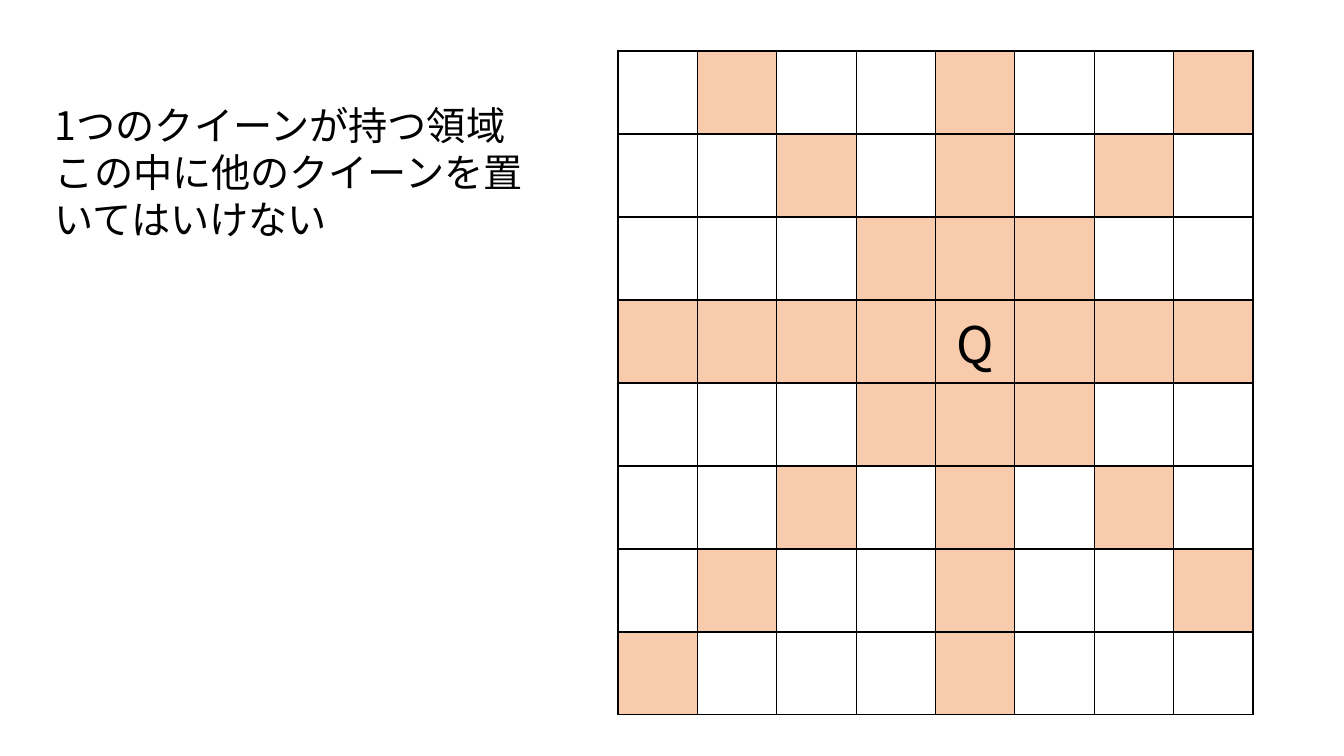
from dataclasses import dataclass

import pptx
import pptx.dml.color
import pptx.enum.text
import pptx.oxml.ns
import pptx.slide
import pptx.table
import pptx.util
from lxml import etree

EMU_PER_PX = 914400 / 100.8
FONT = "Noto Sans CJK JP"
COLORS = {"black": "000000", "reach": "F8CBAD"}
BOARD_SIZE = 8


@dataclass(frozen=True)
class Square:
    row: int
    col: int

    def attacks(self, other: "Square") -> bool:
        """True on the same row, column or diagonal, own square included."""
        rows, cols = abs(self.row - other.row), abs(self.col - other.col)
        return rows == 0 or cols == 0 or rows == cols


QUEEN = Square(row=3, col=4)


def px(n: float) -> pptx.util.Emu:
    return pptx.util.Emu(round(n * EMU_PER_PX))


def rgb(name: str) -> pptx.dml.color.RGBColor:
    return pptx.dml.color.RGBColor.from_string(COLORS[name])


def add_child(parent, tag: str, **attrs: str):
    return etree.SubElement(parent, pptx.oxml.ns.qn(tag), **attrs)


def format_runs(tf, size: int) -> None:
    for p in tf.paragraphs:
        for r in p.runs:
            r.font.size = pptx.util.Pt(size)
            r.font.color.rgb = rgb("black")
            r.font.name = FONT
            add_child(r.font._element, "a:ea", typeface=FONT)


def set_borders(cell: pptx.table._Cell) -> None:
    tc_pr = cell._tc.get_or_add_tcPr()
    for side in ("L", "R", "T", "B"):
        line = add_child(tc_pr, f"a:ln{side}", w=str(pptx.util.Pt(1)))
        fill = add_child(line, "a:solidFill")
        add_child(fill, "a:srgbClr", val=COLORS["black"])


def add_board(s: pptx.slide.Slide) -> None:
    width, row_height = 635, 83
    frame = s.shapes.add_table(BOARD_SIZE, BOARD_SIZE, px(618), px(51),
                               px(width), px(row_height * BOARD_SIZE))
    table = frame.table
    table.first_row = table.horz_banding = False
    for col in table.columns:
        col.width = px(width / BOARD_SIZE)
    for i, row in enumerate(table.rows):
        row.height = px(row_height)
        for j, cell in enumerate(row.cells):
            set_borders(cell)
            if QUEEN.attacks(Square(i, j)):
                cell.fill.solid()
                cell.fill.fore_color.rgb = rgb("reach")
            else:
                cell.fill.background()

    cell = table.cell(QUEEN.row, QUEEN.col)
    cell.vertical_anchor = pptx.enum.text.MSO_ANCHOR.MIDDLE
    tf = cell.text_frame
    tf.text = "Q"
    tf.paragraphs[0].alignment = pptx.enum.text.PP_ALIGN.CENTER
    format_runs(tf, 36)


def add_caption(s: pptx.slide.Slide) -> None:
    tf = s.shapes.add_textbox(px(45), px(93), px(517), px(152)).text_frame
    tf.word_wrap = True
    tf.margin_top = px(8)
    tf.text = "1つのクイーンが持つ領域\nこの中に他のクイーンを置いてはいけない"
    for p in tf.paragraphs:
        p.line_spacing = pptx.util.Pt(33.6)
    format_runs(tf, 28)


def main() -> None:
    prs = pptx.Presentation()
    prs.slide_width, prs.slide_height = px(1344), px(756)
    s = prs.slides.add_slide(prs.slide_layouts[6])
    add_board(s)
    add_caption(s)
    prs.save("out.pptx")


if __name__ == "__main__":
    main()
